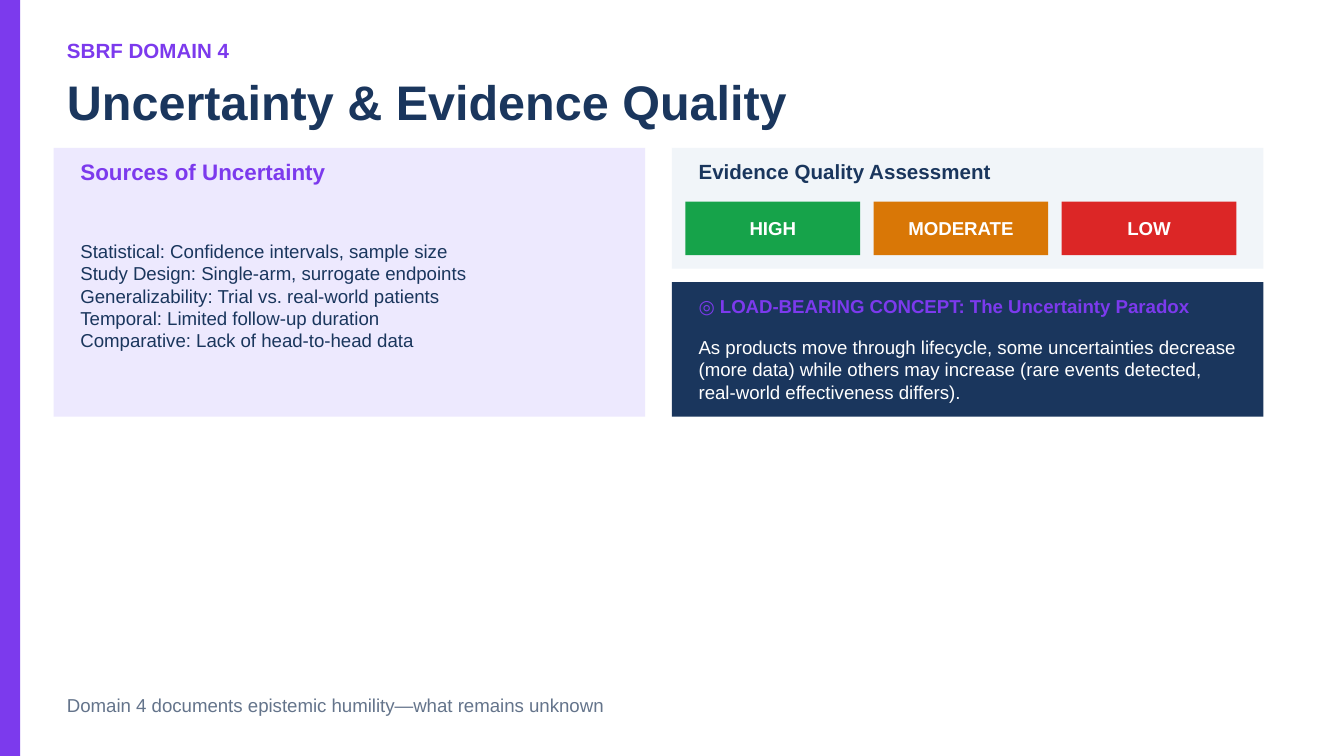
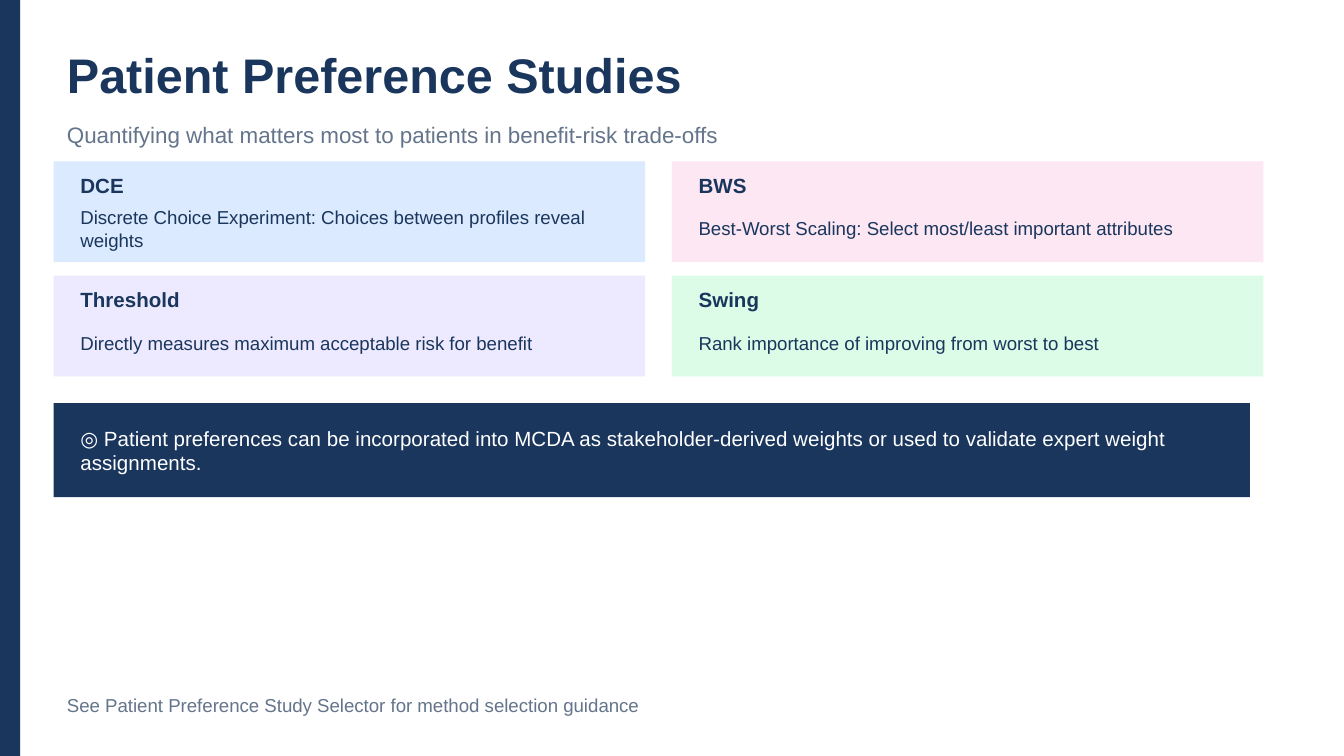
from pptx import Presentation
from pptx.dml.color import RGBColor
from pptx.enum.shapes import MSO_SHAPE as Shape
from pptx.enum.text import MSO_ANCHOR as Anchor, PP_ALIGN as Align
from pptx.util import Inches, Pt

NAVY, VIOLET, SLATE, WHITE = "1A365D", "7C3AED", "64748B", "FFFFFF"
LAVENDER, MIST = "EDE9FE", "F1F5F9"
BLUE, PINK, MINT = "DBEAFE", "FCE7F3", "DCFCE7"
GREEN, AMBER, RED = "16A34A", "D97706", "DC2626"

LEFT, RIGHT = 0.4, 5
CARD_WIDTH = 4.4
PAD = 0.1


def color(hex_value):
    return RGBColor.from_string(hex_value)


class Deck:
    font = "Arial"

    def __init__(self):
        self.prs = Presentation()
        self.prs.slide_width = Inches(10)
        self.prs.slide_height = Inches(10) * 9 // 16
        self.slide = None

    def start(self, accent, title, title_top, footer):
        self.slide = self.prs.slides.add_slide(self.prs.slide_layouts[6])
        self.box(0, 0, 0.15, self.prs.slide_height.inches, accent)
        self.text(LEFT, title_top, 9, 0.5, title, 26, NAVY, bold=True)
        self.text(LEFT, 5.1, 9, 0.3, footer, 10, SLATE)

    def box(self, left, top, width, height, fill):
        rect = self.slide.shapes.add_shape(
            Shape.RECTANGLE, Inches(left), Inches(top), Inches(width), Inches(height))
        rect.shadow.inherit = False
        rect.fill.solid()
        rect.fill.fore_color.rgb = color(fill)
        rect.line.fill.background()

    def text(self, left, top, width, height, content, size, ink,
             bold=False, align=Align.LEFT):
        frame = self.slide.shapes.add_textbox(
            Inches(left), Inches(top), Inches(width), Inches(height)).text_frame
        frame.word_wrap = True
        frame.vertical_anchor = Anchor.MIDDLE
        frame.text = content
        for paragraph in frame.paragraphs:
            paragraph.alignment = align
            paragraph.font.name = self.font
            paragraph.font.size = Pt(size)
            paragraph.font.bold = bold
            paragraph.font.color.rgb = color(ink)

    def card(self, left, top, height, fill, heading, heading_size=11, heading_ink=NAVY,
             body="", body_offset=0.35, body_height=0.6, body_ink=NAVY):
        self.box(left, top, CARD_WIDTH, height, fill)
        inner_left, inner_width = left + PAD, CARD_WIDTH - 2 * PAD
        self.text(inner_left, top + 0.05, inner_width, 0.25,
                  heading, heading_size, heading_ink, bold=True)
        if body:
            self.text(inner_left, top + body_offset, inner_width, body_height,
                      body, 10, body_ink)

    def badge(self, left, top, label, fill):
        self.box(left, top, 1.3, 0.4, fill)
        self.text(left, top + 0.05, 1.3, 0.3, label, 10, WHITE,
                  bold=True, align=Align.CENTER)

    def banner(self, top, message):
        self.box(LEFT, top, 8.9, 0.7, NAVY)
        self.text(LEFT + PAD, top + PAD, 8.7, 0.5, message, 11, WHITE)


def uncertainty_slide(deck):
    deck.start(VIOLET, "Uncertainty & Evidence Quality", 0.5,
               "Domain 4 documents epistemic humility—what remains unknown")
    deck.text(LEFT, 0.25, 4, 0.25, "SBRF DOMAIN 4", 11, VIOLET, bold=True)

    sources = [
        "Statistical: Confidence intervals, sample size",
        "Study Design: Single-arm, surrogate endpoints",
        "Generalizability: Trial vs. real-world patients",
        "Temporal: Limited follow-up duration",
        "Comparative: Lack of head-to-head data",
    ]
    deck.card(LEFT, 1.1, 2, LAVENDER, "Sources of Uncertainty", 12, VIOLET,
              body="\n".join(sources), body_height=1.5)

    deck.card(RIGHT, 1.1, 0.9, MIST, "Evidence Quality Assessment")
    ratings = [("HIGH", GREEN), ("MODERATE", AMBER), ("LOW", RED)]
    for index, (rating, fill) in enumerate(ratings):
        deck.badge(RIGHT + PAD + 1.4 * index, 1.5, rating, fill)

    deck.card(RIGHT, 2.1, 1, NAVY,
              "◎ LOAD-BEARING CONCEPT: The Uncertainty Paradox", 10, VIOLET,
              body="As products move through lifecycle, some uncertainties decrease "
                   "(more data) while others may increase (rare events detected, "
                   "real-world effectiveness differs).",
              body_ink=WHITE)


def preference_slide(deck):
    deck.start(NAVY, "Patient Preference Studies", 0.3,
               "See Patient Preference Study Selector for method selection guidance")
    deck.text(LEFT, 0.85, 9, 0.3,
              "Quantifying what matters most to patients in benefit-risk trade-offs",
              12, SLATE)

    methods = [
        ("DCE", "Discrete Choice Experiment: Choices between profiles reveal weights", BLUE),
        ("BWS", "Best-Worst Scaling: Select most/least important attributes", PINK),
        ("Threshold", "Directly measures maximum acceptable risk for benefit", LAVENDER),
        ("Swing", "Rank importance of improving from worst to best", MINT),
    ]
    for index, (method, summary, fill) in enumerate(methods):
        row, column = divmod(index, 2)
        deck.card((LEFT, RIGHT)[column], 1.2 + 0.85 * row, 0.75, fill, method,
                  body=summary, body_offset=0.3, body_height=0.4)

    deck.banner(3, "◎ Patient preferences can be incorporated into MCDA as "
                   "stakeholder-derived weights or used to validate expert weight "
                   "assignments.")


def main():
    deck = Deck()
    uncertainty_slide(deck)
    preference_slide(deck)
    deck.prs.save("out.pptx")


if __name__ == "__main__":
    main()
